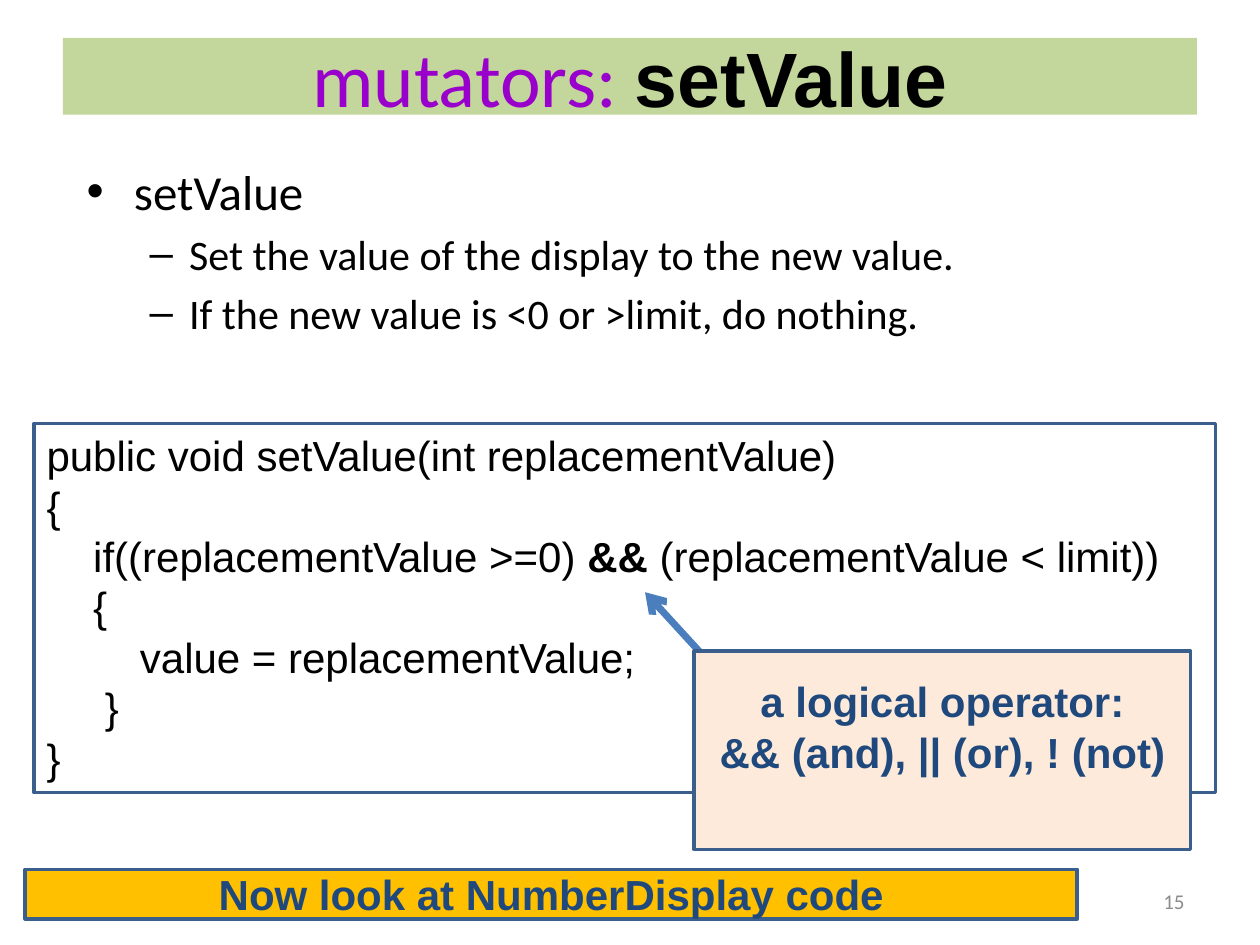
from lxml import etree
from pptx import Presentation
from pptx.dml.color import RGBColor
from pptx.enum import shapes, text
from pptx.oxml import ns
from pptx.util import Pt

BLACK, NAVY, OUTLINE, ARROW = "000000", "1F497D", "3A5F8C", "4B7EBC"
LEFT, CENTER, RIGHT = text.PP_ALIGN.LEFT, text.PP_ALIGN.CENTER, text.PP_ALIGN.RIGHT
TOP, MIDDLE = text.MSO_ANCHOR.TOP, text.MSO_ANCHOR.MIDDLE

# Runs are (wording, font, size, colour, bold).
TITLE = [("mutators: ", "Calibri", 44, "9900CC", False),
         ("setValue", "Arial", 44, BLACK, True)]
# Bullets are (wording, level).
BULLETS = [("setValue", 0),
           ("Set the value of the display to the new value.", 1),
           ("If the new value is <0 or >limit, do nothing.", 1)]
# Levels are (mark, size, left margin, hanging indent, space before).
LEVELS = [("\u2022", 28, 27, 27, 5.6), ("\u2013", 24, 58.5, 22.5, 4.8)]
# Code lines are (indent in characters, pieces as (wording, bold)).
CODE = [(0, [("public void setValue(int replacementValue)", False)]),
        (0, [("{", False)]),
        (4, [("if((replacementValue >=0) ", False), ("&&", True),
             (" (replacementValue < limit))", False)]),
        (4, [("{", False)]),
        (8, [("value = replacementValue;", False)]),
        (5, [("}", False)]),
        (0, [("}", False)])]
CODE_CHAR = 6.67
CALLOUT = ["a logical operator:", "&& (and), || (or), ! (not)"]
FOOTER = "Now look at NumberDisplay code"
PAGE_NUMBER = "15"


def rgb(value):
    """Turn a hex string into a colour."""
    return RGBColor.from_string(value)


def add_box(page, place, fill=None, line=None, anchor=TOP, bottom=3.6):
    """Add a rectangle and return its text frame."""
    box = page.shapes.add_shape(shapes.MSO_SHAPE.RECTANGLE, *map(Pt, place))
    box.shadow.inherit = False
    if fill:
        box.fill.solid()
        box.fill.fore_color.rgb = rgb(fill)
    else:
        box.fill.background()
    if line:
        box.line.color.rgb = rgb(line)
        box.line.width = Pt(2)
    else:
        box.line.fill.background()
    return set_frame(box.text_frame, anchor, bottom)


def add_text(page, place, anchor=TOP):
    """Add a text box and return its text frame."""
    box = page.shapes.add_textbox(*map(Pt, place))
    return set_frame(box.text_frame, anchor)


def set_frame(frame, anchor, bottom=3.6):
    """Set wrapping, anchor and bottom inset of a text frame."""
    frame.word_wrap = True
    frame.vertical_anchor = anchor
    frame.margin_bottom = Pt(bottom)
    return frame


def write(frame, paras, align=LEFT):
    """Fill a frame with paragraphs, each a list of runs."""
    for number, runs in enumerate(paras):
        para = frame.add_paragraph() if number else frame.paragraphs[0]
        para.alignment = align
        for wording, font, size, colour, bold in runs:
            span = para.add_run()
            span.text = wording
            span.font.name = font
            span.font.size = Pt(size)
            span.font.color.rgb = rgb(colour)
            span.font.bold = bold


def indent(para, margin, hanging=0, mark=None):
    """Set the left margin of a paragraph and an optional bullet."""
    props = para._p.get_or_add_pPr()
    props.set("marL", str(Pt(margin)))
    props.set("indent", str(-Pt(hanging)))
    if mark:
        etree.SubElement(props, ns.qn("a:buFont")).set("typeface", "Arial")
        etree.SubElement(props, ns.qn("a:buChar")).set("char", mark)


def add_arrow(page, start, end):
    """Draw an arrow with its head at the end point."""
    arrow = page.shapes.add_connector(
        shapes.MSO_CONNECTOR.STRAIGHT, *map(Pt, start + end))
    arrow.line.color.rgb = rgb(ARROW)
    arrow.line.width = Pt(4)
    etree.SubElement(arrow.line._get_or_add_ln(), ns.qn("a:tailEnd")).set("type", "arrow")
    etree.SubElement(arrow._element.spPr, ns.qn("a:effectLst"))


deck = Presentation()
deck.slide_width, deck.slide_height = Pt(720), Pt(540)
page = deck.slides.add_slide(deck.slide_layouts[6])

write(add_box(page, (36, 21.6, 648, 44), "C3D69B", anchor=MIDDLE), [TITLE], CENTER)

body = add_text(page, (42.5, 88.5, 669.6, 388))
write(body, [[(wording, "Calibri", LEVELS[level][1], BLACK, False)]
             for wording, level in BULLETS])
for para, (_, level) in zip(body.paragraphs, BULLETS):
    mark, _, margin, hanging, before = LEVELS[level]
    para.level = level
    para.space_before = Pt(before)
    indent(para, margin, hanging, mark)

write(add_text(page, (516, 500.5, 168, 28.8), MIDDLE),
      [[(PAGE_NUMBER, "Calibri", 12, "8C8C8C", False)]], RIGHT)

code = add_box(page, (19.5, 242, 675, 211), line=OUTLINE)
write(code, [[(wording, "Arial", 24, BLACK, bold) for wording, bold in pieces]
             for _, pieces in CODE])
for para, (characters, _) in zip(code.paragraphs, CODE):
    indent(para, characters * CODE_CHAR)

add_arrow(page, (430.5, 406), (368.6, 338.4))
for place, fill, lines, bottom in [
        ((396.7, 372, 283.7, 113.4), "FDEADA", CALLOUT, 31.2),
        ((14.4, 496.8, 601.2, 28.3), "FFC000", [FOOTER], 3.6)]:
    write(add_box(page, place, fill, OUTLINE, MIDDLE, bottom),
          [[(line, "Arial", 24, NAVY, True)] for line in lines], CENTER)

deck.save("out.pptx")
